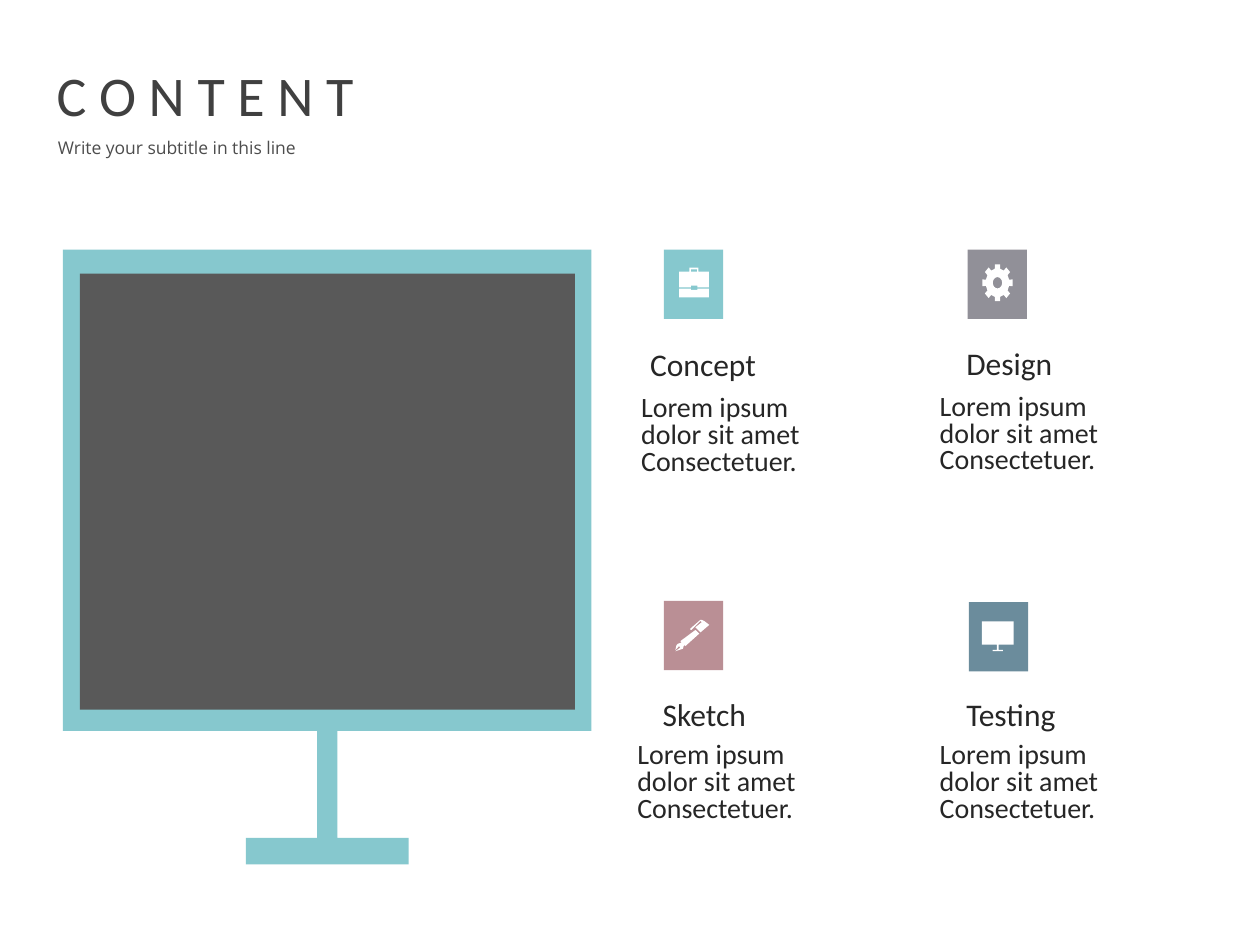
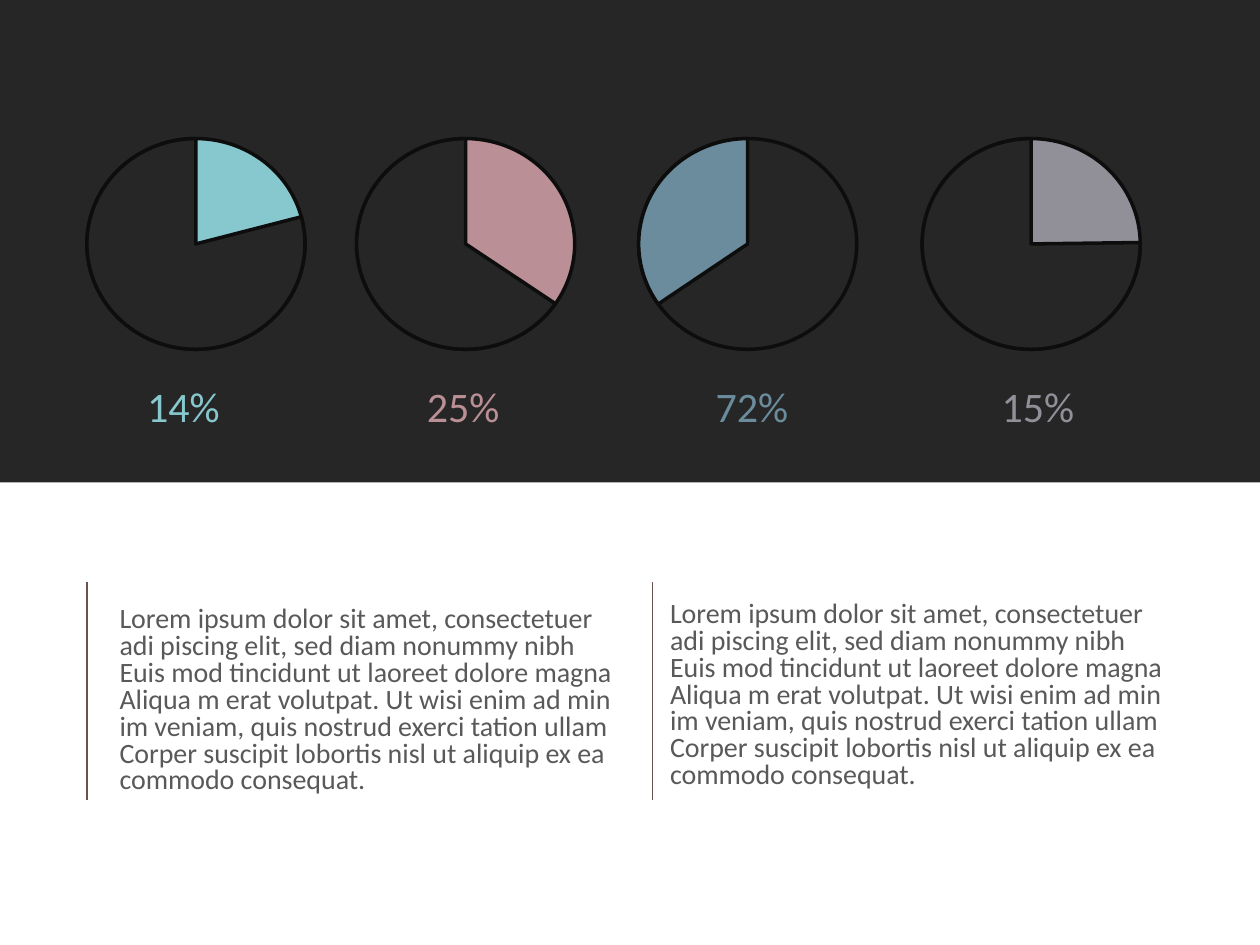
import math

import pptx
import pptx.util
from lxml import etree
from pptx.dml.color import RGBColor
from pptx.enum.shapes import MSO_CONNECTOR, MSO_SHAPE
from pptx.enum.text import MSO_ANCHOR
from pptx.oxml.ns import qn

Pt = pptx.util.Pt

TEAL = RGBColor(0x86, 0xC8, 0xCE)
ROSE = RGBColor(0xBA, 0x8F, 0x95)
BLUE = RGBColor(0x6B, 0x8C, 0x9C)
GREY = RGBColor(0x91, 0x90, 0x98)
WHITE = RGBColor(0xFF, 0xFF, 0xFF)
DARK = RGBColor(0x26, 0x26, 0x26)
TITLE = RGBColor(0x40, 0x40, 0x40)
SUBTITLE = RGBColor(0x4D, 0x4D, 0x4D)
BODY = RGBColor(0x59, 0x59, 0x59)
OUTLINE = RGBColor(0x0D, 0x0D, 0x0D)
RULE = RGBColor(0x6A, 0x51, 0x4A)

TILE_W, TILE_H = 33.84, 39.6
TOP_ANGLE = 270

TOPIC_LINES = ["Lorem ipsum", "dolor sit amet", "Consectetuer."]
ARTICLE_LINES = [
    "Lorem ipsum dolor sit amet, consectetuer",
    "adi piscing elit, sed diam nonummy nibh",
    "Euis mod tincidunt ut laoreet dolore magna",
    "Aliqua m erat volutpat. Ut wisi enim ad min",
    "im veniam, quis nostrud exerci tation ullam",
    "Corper suscipit lobortis nisl ut aliquip ex ea",
    "commodo consequat.",
]


def add_text(s, box, lines, size, color, font="Calibri", spacing=None,
             inset=None, wrap=True):
    tf = s.shapes.add_textbox(*map(Pt, box)).text_frame
    tf.word_wrap = wrap
    if inset is not None:
        tf.margin_left = tf.margin_right = Pt(inset)
        tf.margin_top = tf.margin_bottom = Pt(inset)
    for i, line in enumerate(lines):
        p = tf.paragraphs[0] if i == 0 else tf.add_paragraph()
        if spacing:
            p.line_spacing = spacing
        r = p.add_run()
        r.text = line
        r.font.name = font
        r.font.size = Pt(size)
        r.font.color.rgb = color
    return tf


def paint(sp, fill, line=None):
    sp.shadow.inherit = False
    sp.fill.solid()
    sp.fill.fore_color.rgb = fill
    if line is None:
        sp.line.fill.background()
    else:
        sp.line.color.rgb = line
        sp.line.width = Pt(2)


def add_shape(s, kind, box, fill, line=None):
    sp = s.shapes.add_shape(kind, *map(Pt, box))
    paint(sp, fill, line)
    return sp


def add_outline(s, contours, fill, left=0, top=0):
    """Draw closed contours as one freeform; later contours cut holes."""
    builder = None
    for contour in contours:
        points = [(Pt(left + x), Pt(top + y)) for x, y in contour]
        if builder is None:
            builder = s.shapes.build_freeform(*points[0])
        else:
            builder.move_to(*points[0])
        builder.add_line_segments(points[1:], close=True)
    paint(builder.convert_to_shape(), fill)


def monitor(left, top, width, height, neck_w, neck_h, base_w, base_h):
    """Return the contour of a screen on a centred stand."""
    middle = left + width / 2
    neck_top = top + height
    base_top = neck_top + neck_h
    right_half = [
        (width / 2, top), (width / 2, neck_top), (neck_w / 2, neck_top),
        (neck_w / 2, base_top), (base_w / 2, base_top),
        (base_w / 2, base_top + base_h),
    ]
    return ([(middle + x, y) for x, y in right_half]
            + [(middle - x, y) for x, y in reversed(right_half)])


def gear(cx, cy, rx, ry, teeth=8):
    """Return the toothed rim and the round hole of a gear."""
    def at(angle, scale):
        a = math.radians(angle)
        return cx + rx * scale * math.cos(a), cy + ry * scale * math.sin(a)

    step = 360 / teeth
    corners = [(-13, 0.77), (-10, 1), (10, 1), (13, 0.77)]
    rim = [at(k * step + turn, scale)
           for k in range(teeth) for turn, scale in corners]
    hole = [at(-angle, 0.3) for angle in range(0, 360, 15)]
    return [rim, hole]


BRIEFCASE = [
    [[(8.6, 12.6), (14.6, 12.6), (14.6, 10.3), (19.7, 10.3), (19.7, 12.6),
      (25.7, 12.6), (25.7, 21.7), (19.1, 21.7), (19.1, 20.6), (15.4, 20.6),
      (15.4, 21.7), (8.6, 21.7)],
     [(15.4, 11.4), (15.4, 12.6), (18.9, 12.6), (18.9, 11.4)]],
    [[(8.6, 22.4), (15.4, 22.4), (15.4, 23), (19.1, 23), (19.1, 22.4),
      (25.7, 22.4), (25.7, 27.4), (8.6, 27.4)]],
]
PEN = [
    [[(15.1, 16.6), (15.8, 16.6), (20.9, 11.5), (21.6, 12.2), (18, 15.1),
      (20.9, 18), (25.9, 13.7), (23, 11.5), (21.6, 10.8), (20.9, 10.8),
      (15.1, 15.8)]],
    [[(20.2, 18.7), (18, 16.6), (9.4, 23), (10.1, 23.8), (7.9, 24.5),
      (7.2, 25.2), (6.5, 28.1), (8.6, 25.9), (9.4, 26.6), (6.5, 28.8),
      (10.8, 27.4), (11.5, 25.2), (12.2, 25.9)]],
]
GEAR = [gear(17, 19, 8.8, 10.7)]
SCREEN = [[monitor(7.4, 11, 18.2, 13.3, 1, 3.1, 5.8, 0.7)]]

# heading, colour, icon, tile corner, heading corner, text corner
TOPICS = [
    ("Concept", TEAL, BRIEFCASE, (379.4, 142.6), (371.5, 197.3), (359.3, 223)),
    ("Sketch", ROSE, PEN, (379.4, 343.4), (378.7, 397.4), (357.1, 421.2)),
    ("Design", GREY, GEAR, (553, 142.6), (552.2, 196.6), (529.9, 222)),
    ("Testing", BLUE, SCREEN, (553.7, 344), (552.2, 397.4), (529.9, 421.2)),
]

# label, label left, pie left, disc colour, wedge colour, wedge start angle
PIES = [
    ("14%", 77, 49.7, TEAL, DARK, 345.55),
    ("25%", 236.9, 203.8, ROSE, DARK, 33.65),
    ("72%", 401.8, 365, DARK, BLUE, 146.07),
    ("15%", 565.2, 527, GREY, DARK, 359.26),
]


def add_topic(s, heading, color, icon, tile, heading_at, text_at):
    add_shape(s, MSO_SHAPE.RECTANGLE, (*tile, TILE_W, TILE_H), color)
    for contours in icon:
        add_outline(s, contours, WHITE, *tile)
    add_text(s, (*heading_at, 151, 24.5), [heading], 18, DARK, inset=0)
    add_text(s, (*text_at, 130.3, 54), TOPIC_LINES, 16, DARK, spacing=0.8)


def add_pie(s, label, label_left, left, disc, wedge, start):
    box = (left, 79.2, 124.6, 120.4)
    add_shape(s, MSO_SHAPE.OVAL, box, disc, OUTLINE)
    sp = add_shape(s, MSO_SHAPE.PIE, box, wedge, OUTLINE)
    # one degree is 60000 angle units, one adjustment unit is 100000
    sp.adjustments[0] = start * 0.6
    sp.adjustments[1] = TOP_ANGLE * 0.6
    color = wedge if disc == DARK else disc
    add_text(s, (label_left, 213.8, 90, 36.7), [label], 24, color)


def add_article(s, rule_x, left, top):
    line = s.shapes.add_connector(MSO_CONNECTOR.STRAIGHT, Pt(rule_x),
                                  Pt(332.6), Pt(rule_x), Pt(457.2))
    line.line.color.rgb = RULE
    line.line.width = Pt(0.75)
    etree.SubElement(line._element.spPr, qn("a:effectLst"))
    tf = add_text(s, (left, top, 351.4, 166.3), ARTICLE_LINES, 16, BODY,
                  spacing=0.8)
    tf.vertical_anchor = MSO_ANCHOR.BOTTOM
    tf.margin_bottom = Pt(38.8)


def build_content(s):
    add_text(s, (25.2, 31, 186.5, 46), ["C O N T E N T"], 32, TITLE, wrap=False)
    add_text(s, (33.1, 78.5, 150.5, 16.6), ["Write your subtitle in this line"],
             10, SUBTITLE, font="Open Sans", inset=0)
    add_outline(s, [monitor(36, 142.6, 302, 275, 11.6, 61.2, 93, 15.1)], TEAL)
    add_shape(s, MSO_SHAPE.RECTANGLE, (45.6, 156.4, 283, 249.1), BODY)
    for topic in TOPICS:
        add_topic(s, *topic)


def build_pies(s):
    add_shape(s, MSO_SHAPE.RECTANGLE, (0, 0, 720, 275.6), DARK)
    for pie in PIES:
        add_pie(s, *pie)
    add_article(s, 49.8, 61.2, 327)
    add_article(s, 373, 375.8, 324)


def main():
    prs = pptx.Presentation()
    prs.slide_width, prs.slide_height = Pt(720), Pt(540)
    for build in (build_content, build_pies):
        build(prs.slides.add_slide(prs.slide_layouts[6]))
    prs.save("out.pptx")


if __name__ == "__main__":
    main()
